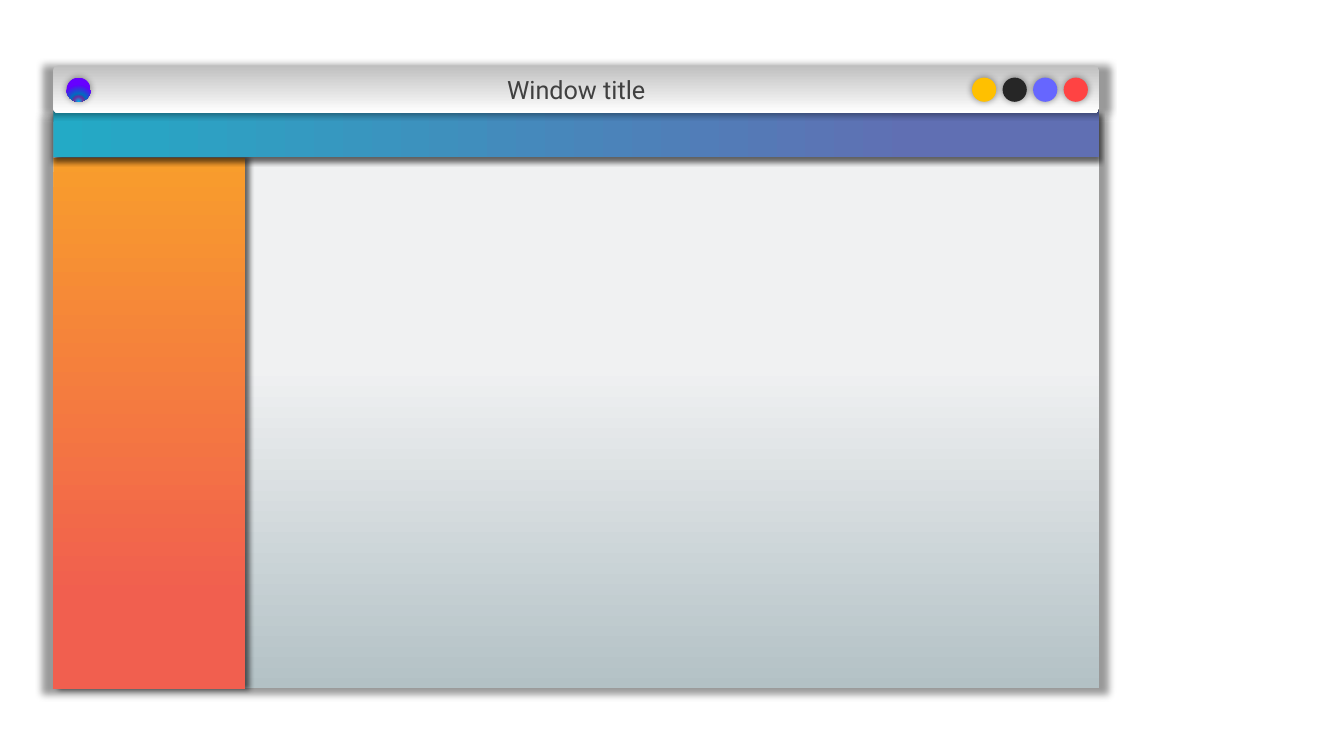
from lxml import etree
from pptx import Presentation
from pptx.dml.color import RGBColor
from pptx.enum.shapes import MSO_SHAPE
from pptx.enum.text import MSO_ANCHOR, PP_ALIGN
from pptx.oxml.ns import qn
from pptx.util import Inches, Pt

RECTANGLE = MSO_SHAPE.RECTANGLE
ROUNDED = MSO_SHAPE.ROUNDED_RECTANGLE
OVAL = MSO_SHAPE.OVAL

COLORS = {
    "pale": "F0F1F2", "steel": "B3C1C5",
    "orange": "F89D2C", "coral": "F15F4F",
    "teal": "23AAC6", "indigo": "606FB3",
    "silver": "BFBFBF", "white": "FFFFFF", "title": "404040",
    "yellow": "FFC000", "black": "262626", "blue": "6666FF", "red": "FF4343",
    "sky": "00B0F0", "purple": "7030A0", "navy": "0070C0", "violet": "6600FF",
    "shadow": "000000",
}
# Opacity and scale in percent, blur and distance in points, direction in degrees
GLOW = {"opacity": 40, "blur": 5, "distance": 0, "direction": 0, "scale": 102}
DROP_RIGHT = {"opacity": 60, "blur": 4, "distance": 3, "direction": 0, "scale": 100}
DROP_DOWN = {**DROP_RIGHT, "direction": 90}


def add_panel(kind, left, top, width, height, shadow):
    shape = slide.shapes.add_shape(
        kind, Inches(left), Inches(top), Inches(width), Inches(height))
    shape.line.fill.background()
    shape.shadow.inherit = False
    effects = shape._element.spPr.find(qn("a:effectLst"))
    outer = etree.SubElement(
        effects, qn("a:outerShdw"),
        blurRad=str(Pt(shadow["blur"])), dist=str(Pt(shadow["distance"])),
        dir=str(shadow["direction"] * 60000),
        sx=str(shadow["scale"] * 1000), sy=str(shadow["scale"] * 1000),
        algn="ctr", rotWithShape="0")
    color = etree.SubElement(outer, qn("a:srgbClr"), val=COLORS["shadow"])
    etree.SubElement(color, qn("a:alpha"), val=str(shadow["opacity"] * 1000))
    return shape


def fill_gradient(shape, stops, angle=None):
    """Fill along an angle, or in circles around a point below the shape."""
    shape.fill.gradient()
    gradient = shape._element.spPr.find(qn("a:gradFill"))
    for child in list(gradient):
        gradient.remove(child)
    stop_list = etree.SubElement(gradient, qn("a:gsLst"))
    for position, name in stops:
        stop = etree.SubElement(stop_list, qn("a:gs"), pos=str(position * 1000))
        etree.SubElement(stop, qn("a:srgbClr"), val=COLORS[name])
    if angle is None:
        circle = etree.SubElement(gradient, qn("a:path"), path="circle")
        etree.SubElement(circle, qn("a:fillToRect"),
                         l="50000", t="130000", r="50000", b="-30000")
    else:
        etree.SubElement(gradient, qn("a:lin"), ang=str(angle * 60000), scaled="0")


presentation = Presentation()
presentation.slide_width = Inches(13.33)
presentation.slide_height = Inches(7.5)
slide = presentation.slides.add_slide(presentation.slide_layouts[6])

# Window frame
WINDOW_LEFT, WINDOW_WIDTH, BAR_HEIGHT = 0.53, 10.37, 0.47

content = add_panel(RECTANGLE, WINDOW_LEFT, 1.21, WINDOW_WIDTH, 5.62, GLOW)
fill_gradient(content, [(43, "pale"), (100, "steel")], 90)

sidebar = add_panel(RECTANGLE, WINDOW_LEFT, 1.57, 1.9, 5.27, DROP_RIGHT)
fill_gradient(sidebar, [(0, "orange"), (83, "coral")], 90)

toolbar = add_panel(RECTANGLE, WINDOW_LEFT, 1.09, WINDOW_WIDTH, BAR_HEIGHT, DROP_DOWN)
fill_gradient(toolbar, [(0, "teal"), (83, "indigo")], 0)

# Title bar
title_bar = add_panel(ROUNDED, WINDOW_LEFT, 0.65, WINDOW_WIDTH, BAR_HEIGHT, GLOW)
title_bar.adjustments[0] = 0.1
fill_gradient(title_bar, [(0, "silver"), (100, "white")], 90)
text_frame = title_bar.text_frame
text_frame.text = "Window title"
text_frame.vertical_anchor = MSO_ANCHOR.MIDDLE
paragraph = text_frame.paragraphs[0]
paragraph.alignment = PP_ALIGN.CENTER
font = paragraph.runs[0].font
font.name = "Roboto"
font.size = Pt(18)
font.color.rgb = RGBColor.from_string(COLORS["title"])

# Window buttons, from right to left
BUTTON_TOP, BUTTON_SIZE, BUTTON_STEP = 0.77, 0.24, 0.303
for index, name in enumerate(["red", "blue", "black", "yellow"]):
    button = add_panel(OVAL, 10.55 - index * BUTTON_STEP, BUTTON_TOP,
                       BUTTON_SIZE, BUTTON_SIZE, GLOW)
    button.fill.solid()
    button.fill.fore_color.rgb = RGBColor.from_string(COLORS[name])

# Window icon
icon = add_panel(OVAL, 0.66, BUTTON_TOP, BUTTON_SIZE, BUTTON_SIZE, GLOW)
fill_gradient(icon, [(0, "sky"), (29, "purple"), (46, "navy"), (100, "violet")])

presentation.save("out.pptx")
